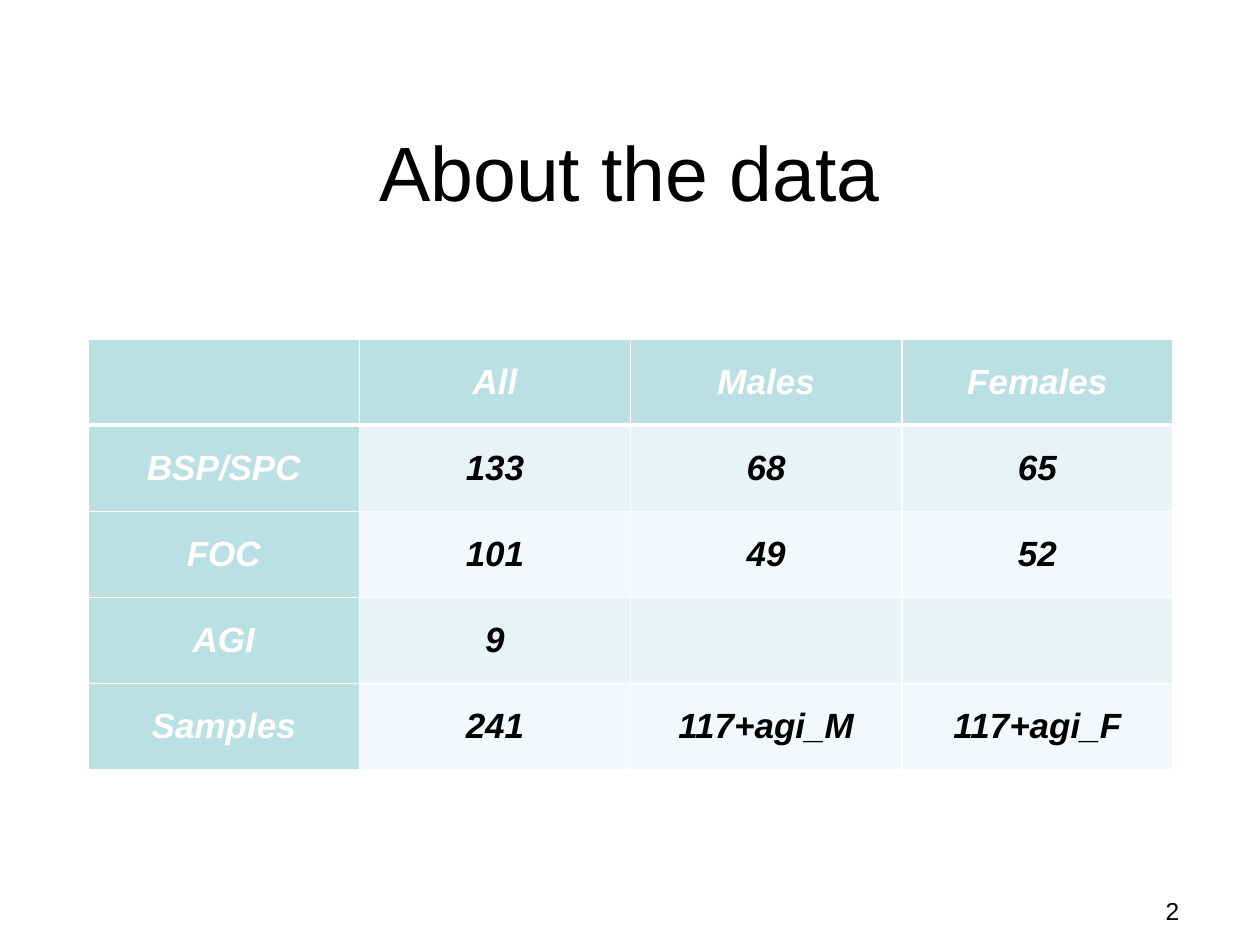
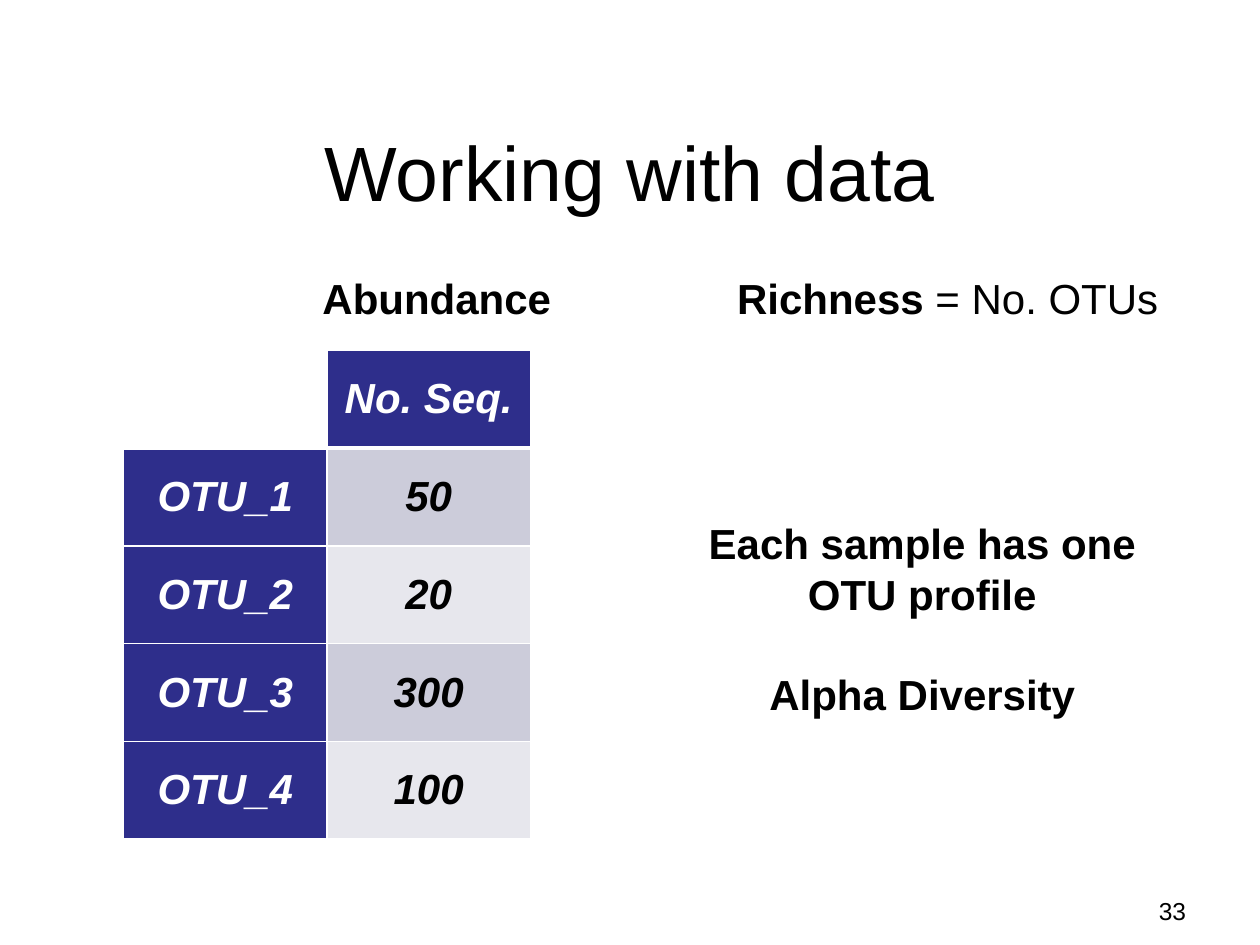
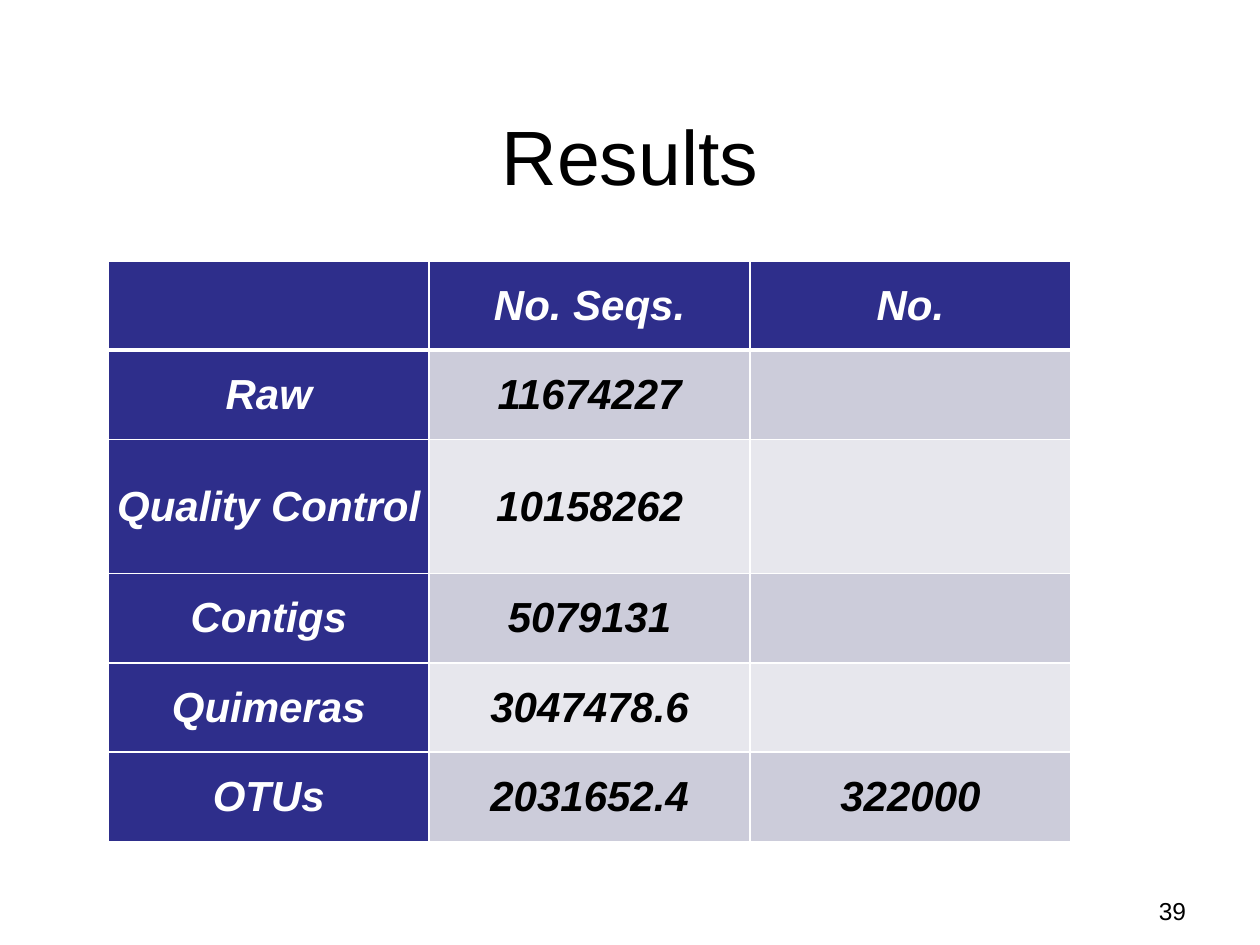
"""Build three slides of data tables with one shared style."""
from lxml import etree
from pptx import Presentation
from pptx import util as u
from pptx.dml.color import RGBColor
from pptx.enum import text as t
from pptx.oxml import ns

COLORS = {
    "ink": "000000", "paper": "FFFFFF",
    "teal": "BBE0E3", "teal_odd": "E7F3F4", "teal_even": "F3F9FA",
    "navy": "2E2E8B", "navy_odd": "CCCCDA", "navy_even": "E7E7ED",
}


class SlideBuilder:
    """Hold the shared style and the slide being built."""

    font_name = "Arial"
    inset = u.Inches(0.05)
    cell_inset = u.Inches(0.07)
    line_height = u.Pt(28.8)

    def __init__(self, deck):
        self.deck = deck
        self.slide = None

    def style_font(self, font, size, color="ink", bold=False, italic=False):
        font.name = self.font_name
        font.size = u.Pt(size)
        font.bold = bold
        font.italic = italic
        font.color.rgb = RGBColor.from_string(COLORS[color])

    def set_insets(self, frame):
        frame.margin_left = frame.margin_right = self.inset
        frame.margin_top = frame.margin_bottom = self.inset

    def start_slide(self, title, number, title_top=0.53):
        self.slide = self.deck.slides.add_slide(self.deck.slide_layouts[5])
        box = self.slide.shapes.title
        box.left, box.top = u.Inches(0.5), u.Inches(title_top)
        box.width, box.height = u.Inches(9), u.Inches(1.65)
        frame = box.text_frame
        frame.text = title
        frame.auto_size = t.MSO_AUTO_SIZE.NONE
        frame.vertical_anchor = t.MSO_ANCHOR.MIDDLE
        self.set_insets(frame)
        para = frame.paragraphs[0]
        para.alignment = t.PP_ALIGN.CENTER
        self.style_font(para.runs[0].font, 44)
        self.add_text(8.97, 7.06, 0.67, 0.32, [[(number, False)]], size=14, centered=True, wrap=True)

    def add_text(self, left, top, width, height, lines, size=24, centered=False, wrap=False):
        box = self.slide.shapes.add_textbox(
            u.Inches(left), u.Inches(top), u.Inches(width), u.Inches(height))
        frame = box.text_frame
        frame.word_wrap = wrap
        self.set_insets(frame)
        for index, spans in enumerate(lines):
            para = frame.add_paragraph() if index else frame.paragraphs[0]
            para.alignment = t.PP_ALIGN.CENTER if centered else t.PP_ALIGN.LEFT
            if size == 24:
                para.line_spacing = self.line_height
            for words, bold in spans:
                span = para.add_run()
                span.text = words
                self.style_font(span.font, size, bold=bold)
        return frame

    def add_borders(self, cell, is_header):
        properties = cell._tc.get_or_add_tcPr()
        for index, side in enumerate(("lnL", "lnR", "lnT", "lnB")):
            points = 3 if is_header and side == "lnB" else 1
            line = etree.Element(ns.qn(f"a:{side}"), w=str(u.Pt(points)))
            fill = etree.SubElement(line, ns.qn("a:solidFill"))
            etree.SubElement(fill, ns.qn("a:srgbClr"), val=COLORS["paper"])
            properties.insert(index, line)

    def fill_cell(self, cell, words, color, size, is_label):
        cell.fill.solid()
        cell.fill.fore_color.rgb = RGBColor.from_string(COLORS[color])
        cell.vertical_anchor = t.MSO_ANCHOR.MIDDLE
        cell.margin_left = cell.margin_right = self.cell_inset
        cell.margin_top = cell.margin_bottom = self.cell_inset
        cell.text = words
        para = cell.text_frame.paragraphs[0]
        para.alignment = t.PP_ALIGN.CENTER
        for span in para.runs:
            self.style_font(span.font, size, "paper" if is_label else "ink", True, True)

    def add_table(self, left, top, width, height, rows, theme, size=24,
                  weights=None, open_corner=False):
        weights = weights or [1] * len(rows)
        table = self.slide.shapes.add_table(
            len(rows), len(rows[0]), u.Inches(left), u.Inches(top),
            u.Inches(width), u.Inches(height)).table
        for column in table.columns:
            column.width = u.Inches(width / len(rows[0]))
        for row, weight in zip(table.rows, weights):
            row.height = u.Inches(height * weight / sum(weights))
        for i, values in enumerate(rows):
            for j, words in enumerate(values):
                cell = table.cell(i, j)
                is_label = i == 0 or j == 0
                band = f"{theme}_odd" if i % 2 else f"{theme}_even"
                self.fill_cell(cell, words, theme if is_label else band, size, is_label)
                if open_corner and i == j == 0:
                    cell.fill.background()
                self.add_borders(cell, i == 0)


def main():
    deck = Presentation()
    deck.slide_width, deck.slide_height = u.Inches(10), u.Inches(7.5)
    builder = SlideBuilder(deck)

    builder.start_slide("About the data", "2")
    builder.add_table(0.7, 2.69, 8.61, 3.42, [
        ["", "All", "Males", "Females"],
        ["BSP/SPC", "133", "68", "65"],
        ["FOC", "101", "49", "52"],
        ["AGI", "9", "", ""],
        ["Samples", "241", "117+agi_M", "117+agi_F"],
    ], "teal", size=20)

    builder.start_slide("Working with data", "33")
    builder.add_table(0.98, 2.78, 3.23, 3.88, [
        ["", "No. Seq."],
        ["OTU_1", "50"],
        ["OTU_2", "20"],
        ["OTU_3", "300"],
        ["OTU_4", "100"],
    ], "navy", open_corner=True)
    builder.add_text(2.51, 2.11, 1.93, 0.48, [[("Abundance", True)]])
    builder.add_text(5.8, 2.11, 3.46, 0.48, [[("Richness", True), (" = No. OTUs", False)]])
    profile = builder.add_text(5.52, 4.06, 3.6, 1.64, [
        [("Each sample has one", True)],
        [("OTU profile", True)],
        [("Alpha Diversity", True)],
    ], centered=True)
    profile.paragraphs[-1].space_before = builder.line_height

    builder.start_slide("Results", "39", title_top=0.4)
    builder.add_table(0.86, 2.07, 7.64, 4.61, [
        ["", "No. Seqs.", "No."],
        ["Raw", "11674227", ""],
        ["Quality Control", "10158262", ""],
        ["Contigs", "5079131", ""],
        ["Quimeras", "3047478.6", ""],
        ["OTUs", "2031652.4", "322000"],
    ], "navy", weights=[1, 1, 1.5, 1, 1, 1])

    deck.save("out.pptx")


if __name__ == "__main__":
    main()
